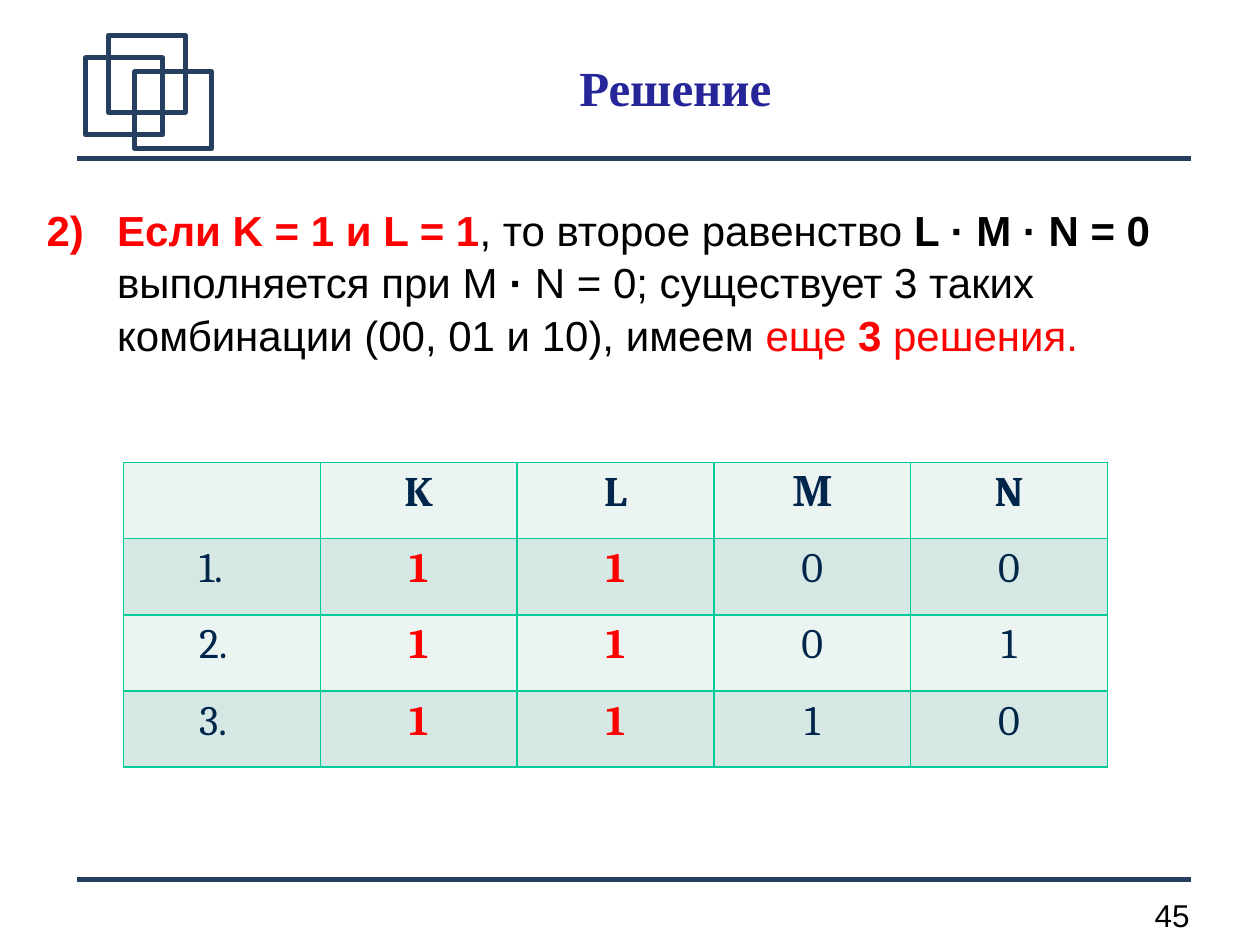
from dataclasses import dataclass
from lxml.etree import SubElement as Sub
from pptx import Presentation as Deck
from pptx.dml.color import RGBColor as Rgb
from pptx.enum.shapes import MSO_CONNECTOR as Link, MSO_SHAPE as Form
from pptx.enum.text import MSO_ANCHOR as Anchor, MSO_AUTO_SIZE as Fit, PP_ALIGN as Align
from pptx.oxml import parse_xml as to_xml
from pptx.oxml.ns import nsdecls, qn
from pptx.util import Inches, Pt


@dataclass(frozen=True)
class Theme:
    navy: str = "263E60"
    title: str = "262699"
    ink: str = "000000"
    red: str = "FF0000"
    cell: str = "00264C"
    edge: str = "00CC99"
    bands: tuple = ("ECF4F2", "D6E8E4")
    sans: str = "Arial"
    serif: str = "Cambria"
    head: str = "Times New Roman"
    big: int = 28
    mid: int = 24
    low: int = 18
    rule: float = 2.83


def put(item, vals):
    for key, val in vals.items():
        setattr(item, key, val)


class Page:
    cols, rows = 100, 75

    def __init__(self, deck, theme):
        self.theme = theme
        self.wide, self.high = deck.slide_width, deck.slide_height
        self.slide = deck.slides.add_slide(deck.slide_layouts[1])
        self.shapes = self.slide.shapes

    def x(self, col):
        return round(self.wide * col / self.cols)

    def y(self, row):
        return round(self.high * row / self.rows)

    def box(self, left, top, wide, high):
        return self.x(left), self.y(top), self.x(wide), self.y(high)

    def place(self, item, *area):
        put(item, dict(zip(("left", "top", "width", "height"), self.box(*area))))

    def run(self, para, text, font, size, tint, bold=False):
        part = para.add_run()
        part.text = text
        put(part.font, {"name": font, "size": Pt(size), "bold": bold})
        part.font.color.rgb = Rgb.from_string(tint)

    def ink(self, line):
        line.color.rgb = Rgb.from_string(self.theme.navy)
        line.width = Pt(self.theme.rule)

    def rule(self, row, left, right):
        line = self.shapes.add_connector(
            Link.STRAIGHT, self.x(left), self.y(row), self.x(right), self.y(row))
        self.ink(line.line)
        Sub(line._element.spPr, qn("a:effectLst"))

    def square(self, left, top, side):
        item = self.shapes.add_shape(Form.ROUNDED_RECTANGLE, *self.box(left, top, side, side))
        item.adjustments[0] = 0
        item.shadow.inherit = False
        item.fill.background()
        self.ink(item.line)

    def title(self, text, *area):
        item = self.shapes.title
        self.place(item, *area)
        put(item.text_frame, {"vertical_anchor": Anchor.BOTTOM, "auto_size": Fit.NONE})
        para = item.text_frame.paragraphs[0]
        put(para, {"alignment": Align.CENTER, "line_spacing": 0.98})
        self.run(para, text, self.theme.head, self.theme.big, self.theme.title, True)

    def point(self, start, parts, *area):
        item = self.slide.placeholders[1]
        self.place(item, *area)
        put(item.text_frame, {"vertical_anchor": Anchor.TOP, "auto_size": Fit.NONE})
        para = item.text_frame.paragraphs[0]
        put(para, {"line_spacing": 1.05, "space_before": Pt(0)})
        props = para._p.get_or_add_pPr()
        hang = Inches(0.56)
        props.set("marL", str(hang))
        props.set("indent", str(-hang))
        Sub(props, qn("a:buAutoNum"), type="arabicParenR", startAt=str(start))
        for text, tint, bold in parts:
            self.run(para, text, self.theme.sans, self.theme.mid, tint, bold)

    def number(self, text, *area):
        frame = self.shapes.add_textbox(*self.box(*area)).text_frame
        frame.word_wrap = True
        para = frame.paragraphs[0]
        para.alignment = Align.RIGHT
        self.run(para, text, self.theme.sans, self.theme.low, self.theme.ink)

    def edges(self, cell):
        props = cell._tc.get_or_add_tcPr()
        for spot, side in enumerate("LRTB"):
            props.insert(spot, to_xml(
                f'<a:ln{side} w="{Pt(1)}" {nsdecls("a")}><a:solidFill>'
                f'<a:srgbClr val="{self.theme.edge}"/></a:solidFill></a:ln{side}>'))

    def table(self, data, *area):
        theme = self.theme
        grid = self.shapes.add_table(len(data), len(data[0]), *self.box(*area)).table
        for row, line in enumerate(data):
            for col, text in enumerate(line):
                cell = grid.cell(row, col)
                cell.fill.solid()
                cell.fill.fore_color.rgb = Rgb.from_string(theme.bands[row % 2])
                self.edges(cell)
                para = cell.text_frame.paragraphs[0]
                para.line_spacing = 0.98
                if col:
                    para.alignment = Align.CENTER
                else:
                    para._p.get_or_add_pPr().set("marL", str(Inches(0.5)))
                fixed = row > 0 and col in (1, 2)
                if text:
                    self.run(para, text, theme.serif, theme.mid,
                             theme.red if fixed else theme.cell, fixed or row == 0)


def main():
    deck = Deck()
    put(deck, {"slide_width": Inches(10), "slide_height": Inches(7.5)})
    theme = Theme()
    page = Page(deck, theme)
    for row in (69.8, 12.6):
        page.rule(row, 6.1, 94.5)
    page.number("45", 84.5, 70.6, 10.9, 4)
    for left, top in ((6.8, 4.6), (8.6, 2.8), (10.7, 5.7)):
        page.square(left, top, 6.1)
    page.point(2, (
        ("Если K = 1 и L = 1", theme.red, True),
        (", то второе равенство ", theme.ink, False),
        ("L · M · N = 0", theme.ink, True),
        (" выполняется при М ", theme.ink, False),
        ("·", theme.ink, True),
        (" N = 0; существует 3 таких комбинации (00, 01 и 10), имеем ", theme.ink, False),
        ("еще ", theme.red, False),
        ("3 ", theme.red, True),
        ("решения.", theme.red, False),
    ), 2.7, 15.5, 93, 13.1)
    page.table((
        ("", "K", "L", "М", "N"),
        ("1.", "1", "1", "0", "0"),
        ("2.", "1", "1", "0", "1"),
        ("3.", "1", "1", "1", "0"),
    ), 9.8, 36.7, 78.1, 24.2)
    page.title("Решение", 11.7, 2.3, 83.8, 7.6)
    deck.save("out.pptx")


if __name__ == "__main__":
    main()
